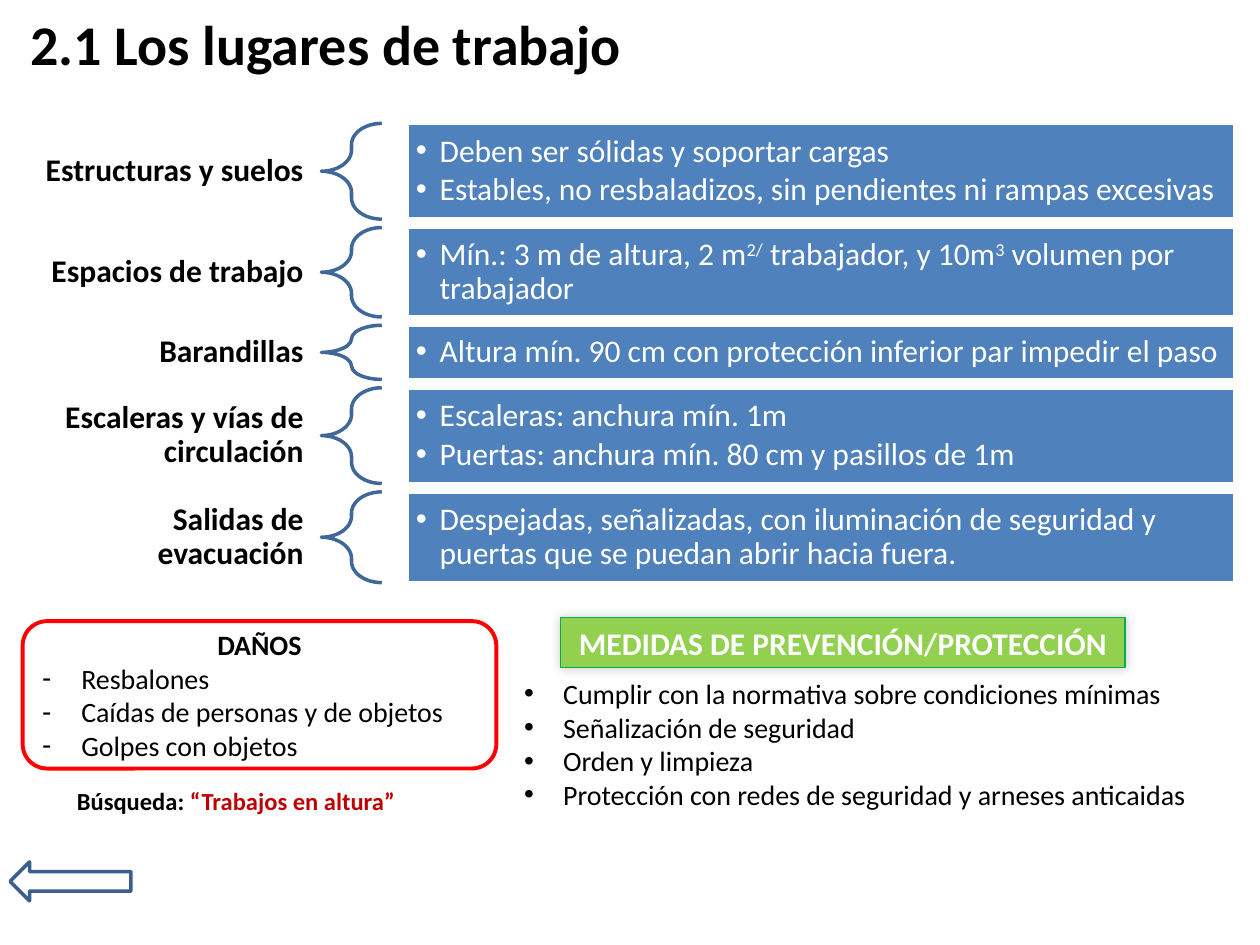
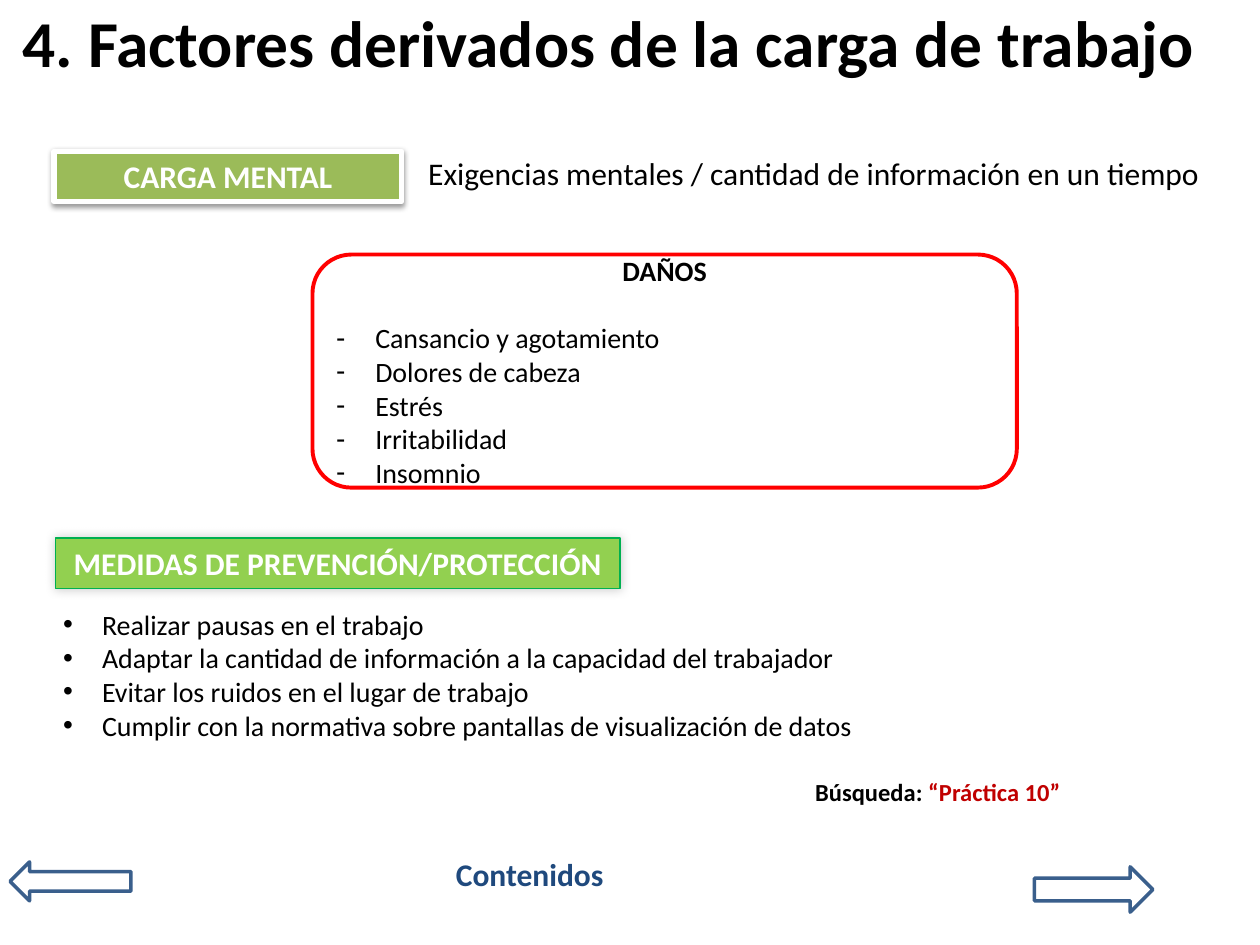
import dataclasses
import typing

import lxml.etree
import pptx
import pptx.dml.color
import pptx.enum.shapes
import pptx.enum.text
import pptx.oxml.ns
import pptx.util

RGBColor = pptx.dml.color.RGBColor
Align = pptx.enum.text.PP_ALIGN
Anchor = pptx.enum.text.MSO_ANCHOR
Preset = pptx.enum.shapes.MSO_SHAPE
qn = pptx.oxml.ns.qn

BLACK = RGBColor(0x00, 0x00, 0x00)
WHITE = RGBColor(0xFF, 0xFF, 0xFF)
BAR_BLUE = RGBColor(0x4F, 0x81, 0xBD)
BRACE_BLUE = RGBColor(0x3F, 0x67, 0x97)
ARROW_BLUE = RGBColor(0x3A, 0x5F, 0x8C)
LINK_BLUE = RGBColor(0x1F, 0x49, 0x7D)
HARM_RED = RGBColor(0xFF, 0x00, 0x00)
SEARCH_RED = RGBColor(0xC0, 0x00, 0x00)
MEASURE_GREEN = RGBColor(0x92, 0xD0, 0x50)
MEASURE_EDGE = RGBColor(0x00, 0xB0, 0x50)
TOPIC_GREEN = RGBColor(0x9B, 0xBB, 0x59)

FONT = "Calibri"
SLIDE_WIDTH = pptx.util.Inches(10)
SLIDE_HEIGHT = pptx.util.Inches(7.5)
COLUMNS, ROWS = 100, 75
TITLE_AND_CONTENT = 1
LIST_INDENT = 3.1
HARM_HEADING = "DAÑOS"
MEASURES_HEADING = "MEDIDAS DE PREVENCIÓN/PROTECCIÓN"


class Box(typing.NamedTuple):
    """Left, top, width and height in grid columns and rows."""
    column: float
    row: float
    columns: float
    rows: float

    def lengths(self) -> tuple[int, int, int, int]:
        return (across(self.column), down(self.row), across(self.columns), down(self.rows))


class Style(typing.NamedTuple):
    size: float
    color: RGBColor = BLACK
    bold: bool = False
    align: Align = Align.LEFT


class Outline(typing.NamedTuple):
    color: RGBColor
    width: float


class Shadow(typing.NamedTuple):
    """Opacity in percent, blur and distance in points, angle in degrees."""
    opacity: int
    blur: float
    distance: float
    angle: int


@dataclasses.dataclass(frozen=True)
class Requirement:
    """One bracketed row; text between bars in a detail is superscript."""
    label: str
    label_rows: float
    rows: float
    details: tuple[str, ...]


BODY = Style(16)
HEADING = Style(16, bold=True, align=Align.CENTER)
BAND = Style(18, WHITE, True, Align.CENTER)
GLOW = Shadow(20, 6, 0, 225)
DROP = Shadow(38, 3.1, 1.6, 90)
BACK_ARROW = Box(0.8, 68.4, 9.6, 3.1)
NEXT_ARROW = Box(82.1, 68.8, 9.4, 3.6)

ONE_LINE, TWO_LINES = 3.9, 6.6
REQUIREMENTS_TOP, REQUIREMENT_GAP = 9.8, 0.66
REQUIREMENTS = (
    Requirement("Estructuras y suelos", ONE_LINE, 7.6, (
        "Deben ser sólidas y soportar cargas",
        "Estables, no resbaladizos, sin pendientes ni rampas excesivas")),
    Requirement("Espacios de trabajo", ONE_LINE, 7.1, (
        "Mín.: 3 m de altura, 2 m|2/| trabajador, y 10m|3| volumen por trabajador",)),
    Requirement("Barandillas", ONE_LINE, 4.3, (
        "Altura mín. 90 cm con protección inferior par impedir el paso",)),
    Requirement("Escaleras y vías de circulación", TWO_LINES, 7.6, (
        "Escaleras: anchura mín. 1m",
        "Puertas: anchura mín. 80 cm y pasillos de 1m")),
    Requirement("Salidas de evacuación", TWO_LINES, 7.2, (
        "Despejadas, señalizadas, con iluminación de seguridad y puertas "
        "que se puedan abrir hacia fuera.",)),
)


def across(columns: float) -> int:
    return round(SLIDE_WIDTH * columns / COLUMNS)


def down(rows: float) -> int:
    return round(SLIDE_HEIGHT * rows / ROWS)


def format_paragraph(paragraph, style: Style) -> None:
    paragraph.alignment = style.align
    for run in paragraph.runs:
        run.font.name = FONT
        run.font.size = pptx.util.Pt(style.size)
        run.font.bold = style.bold
        run.font.color.rgb = style.color


def write_lines(text_frame, lines: typing.Sequence[str], style: Style) -> None:
    text_frame.word_wrap = True
    text_frame.text = "\n".join(lines)
    for paragraph in text_frame.paragraphs:
        format_paragraph(paragraph, style)


def set_bullet(paragraph, character: str, indent: float) -> None:
    properties = paragraph._p.get_or_add_pPr()
    properties.set("marL", str(across(indent)))
    properties.set("indent", str(-across(indent)))
    lxml.etree.SubElement(properties, qn("a:buFont")).set("typeface", "Arial")
    lxml.etree.SubElement(properties, qn("a:buChar")).set("char", character)


def add_shadow(shape, shadow: Shadow) -> None:
    effects = shape._element.spPr.find(qn("a:effectLst"))
    outer = lxml.etree.SubElement(effects, qn("a:outerShdw"))
    outer.set("blurRad", str(pptx.util.Pt(shadow.blur)))
    outer.set("dist", str(pptx.util.Pt(shadow.distance)))
    outer.set("dir", str(shadow.angle * 60000))
    outer.set("rotWithShape", "0")
    color = lxml.etree.SubElement(outer, qn("a:srgbClr"))
    color.set("val", str(BLACK))
    lxml.etree.SubElement(color, qn("a:alpha")).set("val", str(shadow.opacity * 1000))


def add_figure(slide, preset: Preset, box: Box, outline: Outline,
               fill: typing.Optional[RGBColor] = None):
    shape = slide.shapes.add_shape(preset, *box.lengths())
    shape.shadow.inherit = False
    if fill is None:
        shape.fill.background()
    else:
        shape.fill.solid()
        shape.fill.fore_color.rgb = fill
    shape.line.color.rgb = outline.color
    shape.line.width = pptx.util.Pt(outline.width)
    return shape


def add_text(slide, box: Box, text: str, style: Style):
    shape = slide.shapes.add_textbox(*box.lengths())
    write_lines(shape.text_frame, [text], style)
    return shape


def place(shape, box: Box) -> None:
    shape.left, shape.top, shape.width, shape.height = box.lengths()


def add_titled_slide(presentation, title: str, box: Box, size: float):
    slide = presentation.slides.add_slide(presentation.slide_layouts[TITLE_AND_CONTENT])
    place(slide.shapes.title, box)
    text_frame = slide.shapes.title.text_frame
    write_lines(text_frame, [title], Style(size, bold=True))
    text_frame.auto_size = pptx.enum.text.MSO_AUTO_SIZE.NONE
    text_frame.vertical_anchor = Anchor.MIDDLE
    return slide


def add_band(slide, box: Box, text: str, fill: RGBColor, outline: Outline,
             shadow: Shadow) -> None:
    band = add_figure(slide, Preset.RECTANGLE, box, outline, fill)
    add_shadow(band, shadow)
    write_lines(band.text_frame, [text], BAND)


def add_measures(slide, band_column: float, band_row: float, list_box: Box,
                 measures: typing.Sequence[str]) -> None:
    """Green heading band, and the list in the body placeholder."""
    add_band(slide, Box(band_column, band_row, 44.8, 4), MEASURES_HEADING,
             MEASURE_GREEN, Outline(MEASURE_EDGE, 0.75), GLOW)
    body = slide.placeholders[1]
    place(body, list_box)
    write_lines(body.text_frame, measures, BODY)
    body.text_frame.auto_size = pptx.enum.text.MSO_AUTO_SIZE.NONE
    for paragraph in body.text_frame.paragraphs:
        set_bullet(paragraph, "•", LIST_INDENT)
        paragraph.space_before = pptx.util.Pt(0)


def add_harms(slide, box: Box, harms: typing.Sequence[str], heading_gap: float = 0) -> None:
    frame = add_figure(slide, Preset.ROUNDED_RECTANGLE, box, Outline(HARM_RED, 2.25))
    write_lines(frame.text_frame, [HARM_HEADING, *harms], BODY)
    heading, *items = frame.text_frame.paragraphs
    format_paragraph(heading, HEADING)
    heading.space_after = pptx.util.Pt(heading_gap)
    for item in items:
        set_bullet(item, "-", LIST_INDENT)


def add_search(slide, column: float, row: float, topic: str) -> None:
    style = Style(14, bold=True, align=Align.CENTER)
    shape = add_text(slide, Box(column, row, 30.3, 3.4), "Búsqueda:", style)
    paragraph = shape.text_frame.paragraphs[0]
    paragraph.add_run().text = f" “{topic}” "
    format_paragraph(paragraph, style)
    paragraph.runs[1].font.color.rgb = SEARCH_RED


def add_arrow(slide, preset: Preset, box: Box) -> None:
    add_figure(slide, preset, box, Outline(ARROW_BLUE, 2))


def write_detail(paragraph, detail: str) -> None:
    for index, piece in enumerate(detail.split("|")):
        run = paragraph.add_run()
        run.text = piece
        if index % 2:
            run._r.get_or_add_rPr().set("baseline", "30000")
    format_paragraph(paragraph, Style(18, WHITE))
    set_bullet(paragraph, "•", 1.9)
    paragraph.line_spacing = 0.9
    paragraph.space_after = pptx.util.Pt(2.7)


def add_requirement(slide, requirement: Requirement, row: float) -> None:
    label_row = row + (requirement.rows - requirement.label_rows) / 2
    label = add_text(slide, Box(1.4, label_row, 24.1, requirement.label_rows),
                     requirement.label, Style(18, bold=True, align=Align.RIGHT))
    label.text_frame.vertical_anchor = Anchor.MIDDLE
    label.text_frame.margin_left = label.text_frame.margin_right = across(1.4)
    label.text_frame.paragraphs[0].line_spacing = 0.9

    brace = add_figure(slide, Preset.LEFT_BRACE, Box(25.5, row, 4.8, requirement.rows),
                       Outline(BRACE_BLUE, 2))
    brace.adjustments[0], brace.adjustments[1] = 0.35, 0.5

    bar = add_figure(slide, Preset.RECTANGLE, Box(32.3, row, 65.7, requirement.rows),
                     Outline(WHITE, 2), BAR_BLUE)
    text_frame = bar.text_frame
    text_frame.word_wrap = True
    text_frame.margin_left = text_frame.margin_right = across(0.7)
    text_frame.margin_top = text_frame.margin_bottom = down(0.7)
    for index, detail in enumerate(requirement.details):
        paragraph = text_frame.add_paragraph() if index else text_frame.paragraphs[0]
        write_detail(paragraph, detail)


def build_workplaces(presentation) -> None:
    slide = add_titled_slide(presentation, "2.1 Los lugares de trabajo",
                             Box(1.4, 0.3, 98.6, 6.3), 32)
    row = REQUIREMENTS_TOP
    for requirement in REQUIREMENTS:
        add_requirement(slide, requirement, row)
        row += requirement.rows + REQUIREMENT_GAP
    add_harms(slide, Box(1.8, 49.3, 37.6, 11.7), (
        "Resbalones", "Caídas de personas y de objetos", "Golpes con objetos"))
    add_measures(slide, 44.5, 49, Box(40.6, 53.2, 57.5, 11.8), (
        "Cumplir con la normativa sobre condiciones mínimas",
        "Señalización de seguridad",
        "Orden y limpieza",
        "Protección con redes de seguridad y arneses anticaidas"))
    add_search(slide, 3.8, 61.9, "Trabajos en altura")
    add_arrow(slide, Preset.LEFT_ARROW, BACK_ARROW)


def build_mental_load(presentation) -> None:
    slide = add_titled_slide(presentation, "4. Factores derivados de la carga de trabajo",
                             Box(0.8, 0.1, 99.2, 6.3), 37.4)
    add_band(slide, Box(4.3, 12, 27.6, 4), "CARGA MENTAL", TOPIC_GREEN,
             Outline(WHITE, 3), DROP)
    add_text(slide, Box(33, 11.7, 64.1, 4),
             "Exigencias mentales / cantidad de información en un tiempo", Style(18))
    add_harms(slide, Box(24.8, 20.2, 55.9, 18.5), (
        "Cansancio y agotamiento", "Dolores de cabeza", "Estrés",
        "Irritabilidad", "Insomnio"), heading_gap=19.5)
    add_measures(slide, 4.4, 42.7, Box(4, 47.7, 85.4, 11.8), (
        "Realizar pausas en el trabajo",
        "Adaptar la cantidad de información a la capacidad del trabajador",
        "Evitar los ruidos en el lugar de trabajo",
        "Cumplir con la normativa sobre pantallas de visualización de datos"))
    add_search(slide, 59.5, 61.2, "Práctica 10")
    add_arrow(slide, Preset.LEFT_ARROW, BACK_ARROW)
    add_text(slide, Box(35.2, 67.4, 14.4, 4), "Contenidos", Style(18, LINK_BLUE, True))
    add_arrow(slide, Preset.RIGHT_ARROW, NEXT_ARROW)


def main() -> None:
    presentation = pptx.Presentation()
    presentation.slide_width = SLIDE_WIDTH
    presentation.slide_height = SLIDE_HEIGHT
    build_workplaces(presentation)
    build_mental_load(presentation)
    presentation.save("out.pptx")


if __name__ == "__main__":
    main()
